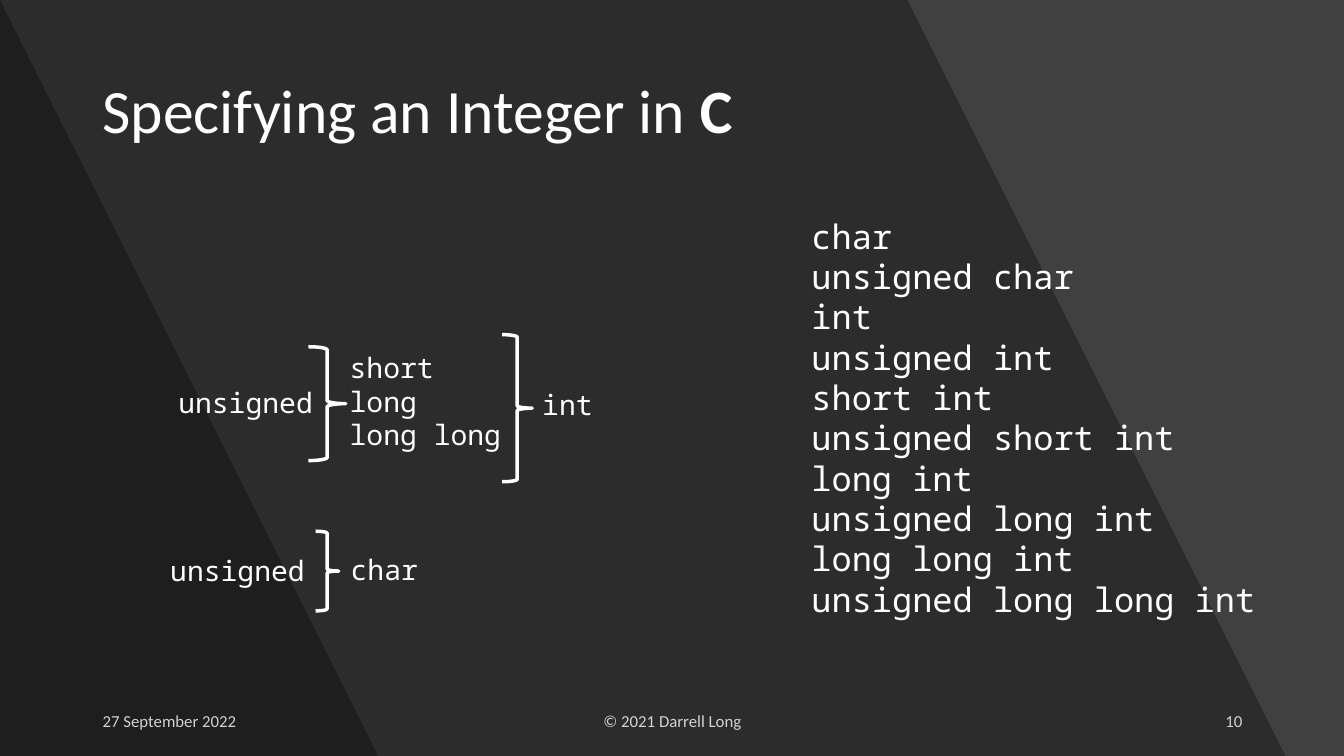
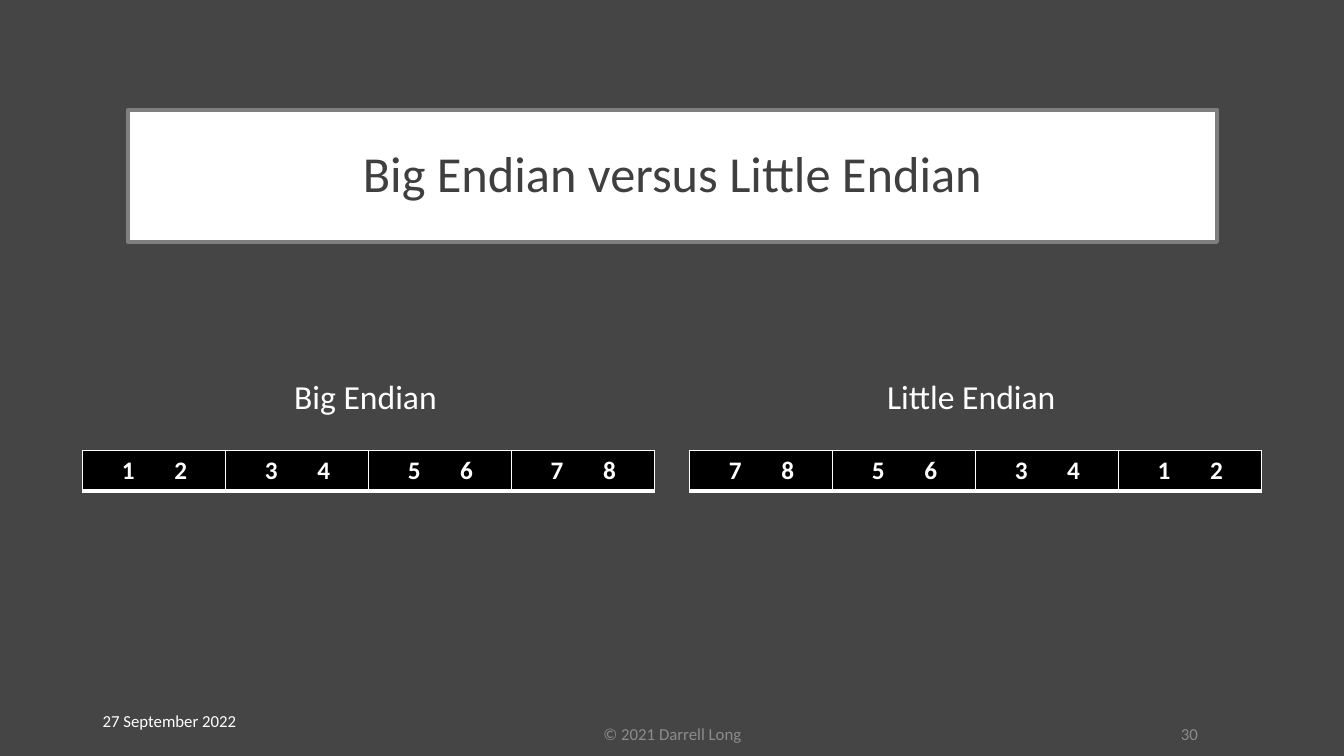
from lxml import etree
from pptx import Presentation
from pptx.dml.color import RGBColor
from pptx.enum.shapes import MSO_SHAPE
from pptx.enum.text import MSO_ANCHOR, PP_ALIGN
from pptx.oxml.ns import qn
from pptx.util import Inches, Pt

WIDTH, HEIGHT = 13.33, 7.5
LEFT, CENTER, RIGHT = PP_ALIGN.LEFT, PP_ALIGN.CENTER, PP_ALIGN.RIGHT
TOP, MIDDLE = MSO_ANCHOR.TOP, MSO_ANCHOR.MIDDLE
BRACE = MSO_SHAPE.RIGHT_BRACE

WHITE = RGBColor(0xFF, 0xFF, 0xFF)
BLACK = RGBColor(0x00, 0x00, 0x00)
CHARCOAL = RGBColor(0x40, 0x40, 0x40)
SLATE = RGBColor(0x45, 0x45, 0x45)
TITLE_INK = RGBColor(0x3F, 0x3F, 0x3F)
FRAME = RGBColor(0x7F, 0x7F, 0x7F)
MUTED = RGBColor(0x8C, 0x8C, 0x8C)
SANS, MONO = "Calibri", "Noto Sans Mono"

DATE, COPYRIGHT = "27 September 2022", "© 2021 Darrell Long"
FOOTER_TOP, FOOTER_HEIGHT = 6.95, 0.4
LOW_FOOTER_TOP = 7.08
DATE_SPAN, COPYRIGHT_SPAN, NUMBER_SPAN = (0.92, 3), (4.42, 4.5), (9.42, 3)
INSET_NUMBER_SPAN = (9.42, 2.56)

BAND_EDGES = [(9.42, 12.89), (0.44, 3.92)]
KEYWORDS = [
    (["unsigned"], (1.67, 3.77, 1.67, 0.49)),
    (["short", "long", "long long"], (3.37, 3.43, 1.76, 1.24)),
    (["int"], (5.28, 3.79, 1.24, 0.49)),
    (["unsigned"], (1.59, 5.44, 1.77, 0.49)),
    (["char"], (3.38, 5.43, 1.36, 0.49)),
]
BRACES = [(3.06, 3.44, 0.37, 1.13), (4.98, 3.32, 0.3, 1.46), (3.13, 5.27, 0.23, 0.79)]
INTEGER_TYPES = [
    "char", "unsigned char", "int", "unsigned int",
    "short int", "unsigned short int", "long int", "unsigned long int",
    "long long int", "unsigned long long int",
]

BYTES = [("1", "2"), ("3", "4"), ("5", "6"), ("7", "8")]
BYTE_ORDERS = [
    ("Big Endian", 2.82, 1.67, 0.82, BYTES),
    ("Little Endian", 8.7, 1.95, 6.84, BYTES[::-1]),
]
LABEL_TOP, LABEL_HEIGHT = 3.68, 0.5
TABLE_TOP, TABLE_WIDTH, ROW_HEIGHT = 4.47, 5.67, 0.4
DIGIT_INDENT, DIGIT_STEP = 0.39, 0.52
BORDERS = [("lnL", 1), ("lnR", 1), ("lnT", 1), ("lnB", 3)]


def inches(place):
    return [Inches(value) for value in place]


def set_opacity(element, percent):
    color = next(element.iter(qn("a:srgbClr")))
    etree.SubElement(color, qn("a:alpha"), val=str(percent * 1000))


def add_text(page, paragraphs, place, size=12, font=SANS, color=WHITE, align=LEFT,
             anchor=TOP, line_spacing=None, opacity=None):
    box = page.shapes.add_textbox(*inches(place))
    frame = box.text_frame
    frame.word_wrap = True
    frame.vertical_anchor = anchor
    for index, content in enumerate(paragraphs):
        para = frame.add_paragraph() if index else frame.paragraphs[0]
        para.alignment = align
        if line_spacing:
            para.line_spacing = line_spacing
        spans = [(content, False)] if isinstance(content, str) else content
        for text, bold in spans:
            span = para.add_run()
            span.text = text
            span.font.size = Pt(size)
            span.font.name = font
            span.font.bold = bold
            span.font.color.rgb = color
            if opacity:
                set_opacity(span.font._element, opacity)
    return box


def add_page(deck, background):
    page = deck.slides.add_slide(deck.slide_layouts[6])
    page.background.fill.solid()
    page.background.fill.fore_color.rgb = background
    return page


def add_footer(page, number, top=FOOTER_TOP, number_span=NUMBER_SPAN,
               color=WHITE, opacity=None, date_opacity=None):
    parts = [
        (DATE, DATE_SPAN, FOOTER_TOP, LEFT, WHITE, date_opacity),
        (COPYRIGHT, COPYRIGHT_SPAN, top, CENTER, color, opacity),
        (number, number_span, top, RIGHT, color, opacity),
    ]
    for text, (left, width), part_top, align, ink, strength in parts:
        add_text(page, [text], (left, part_top, width, FOOTER_HEIGHT),
                 color=ink, align=align, anchor=MIDDLE, opacity=strength)


def add_band(page, top_edge, bottom_edge):
    builder = page.shapes.build_freeform(0, 0, scale=Inches(1))
    builder.add_line_segments([(top_edge, 0), (bottom_edge, HEIGHT), (0, HEIGHT)], close=True)
    band = builder.convert_to_shape()
    band.shadow.inherit = False
    band.line.fill.background()
    band.fill.solid()
    band.fill.fore_color.rgb = BLACK
    set_opacity(band._element, 30)


def add_brace(page, place):
    brace = page.shapes.add_shape(BRACE, *inches(place))
    brace.shadow.inherit = False
    brace.fill.background()
    brace.line.color.rgb = WHITE
    brace.line.width = Pt(2.5)


def add_borders(cell):
    properties = cell._tc.get_or_add_tcPr()
    for tag, width in BORDERS:
        line = etree.SubElement(properties, qn(f"a:{tag}"), w=str(Pt(width)))
        fill = etree.SubElement(line, qn("a:solidFill"))
        etree.SubElement(fill, qn("a:srgbClr"), val=str(WHITE))


def add_byte_table(page, left, pairs):
    place = inches((left, TABLE_TOP, TABLE_WIDTH, ROW_HEIGHT))
    table = page.shapes.add_table(1, len(pairs), *place).table
    for column, pair in enumerate(pairs):
        table.columns[column].width = Inches(TABLE_WIDTH / len(pairs))
        cell = table.cell(0, column)
        cell.margin_left = Inches(DIGIT_INDENT)
        cell.margin_right = 0
        add_borders(cell)
        cell.fill.solid()
        cell.fill.fore_color.rgb = BLACK
        para = cell.text_frame.paragraphs[0]
        stops = etree.SubElement(para._p.get_or_add_pPr(), qn("a:tabLst"))
        etree.SubElement(stops, qn("a:tab"), pos=str(Inches(DIGIT_STEP)), algn="l")
        span = para.add_run()
        span.text = "\t".join(pair)
        span.font.size = Pt(18)
        span.font.name = SANS
        span.font.bold = True
        span.font.color.rgb = WHITE


def build_integer_page(deck):
    page = add_page(deck, CHARCOAL)
    for top_edge, bottom_edge in BAND_EDGES:
        add_band(page, top_edge, bottom_edge)
    title = [("Specifying an Integer in ", False), ("C", True)]
    add_text(page, [title], (0.92, 0.4, 11.5, 1.45), size=44, anchor=MIDDLE, line_spacing=0.9)
    add_footer(page, "10", opacity=80, date_opacity=80)
    for words, place in KEYWORDS:
        add_text(page, words, place, size=20, font=MONO)
    for place in BRACES:
        add_brace(page, place)
    add_text(page, INTEGER_TYPES, (7.95, 2.09, 4.66, 4.14), size=24, font=MONO)


def build_endian_page(deck):
    page = add_page(deck, SLATE)
    title = add_text(page, ["Big Endian versus Little Endian"], (1.27, 1.09, 10.8, 1.31),
                     size=36, color=TITLE_INK, align=CENTER, anchor=MIDDLE, line_spacing=0.9)
    title.fill.solid()
    title.fill.fore_color.rgb = WHITE
    title.line.color.rgb = FRAME
    title.line.width = Pt(3)
    add_footer(page, "30", top=LOW_FOOTER_TOP, number_span=INSET_NUMBER_SPAN, color=MUTED)
    for label, label_left, label_width, table_left, pairs in BYTE_ORDERS:
        add_byte_table(page, table_left, pairs)
        add_text(page, [label], (label_left, LABEL_TOP, label_width, LABEL_HEIGHT), size=24)


def main():
    deck = Presentation()
    deck.slide_width, deck.slide_height = inches((WIDTH, HEIGHT))
    build_integer_page(deck)
    build_endian_page(deck)
    deck.save("out.pptx")


if __name__ == "__main__":
    main()
